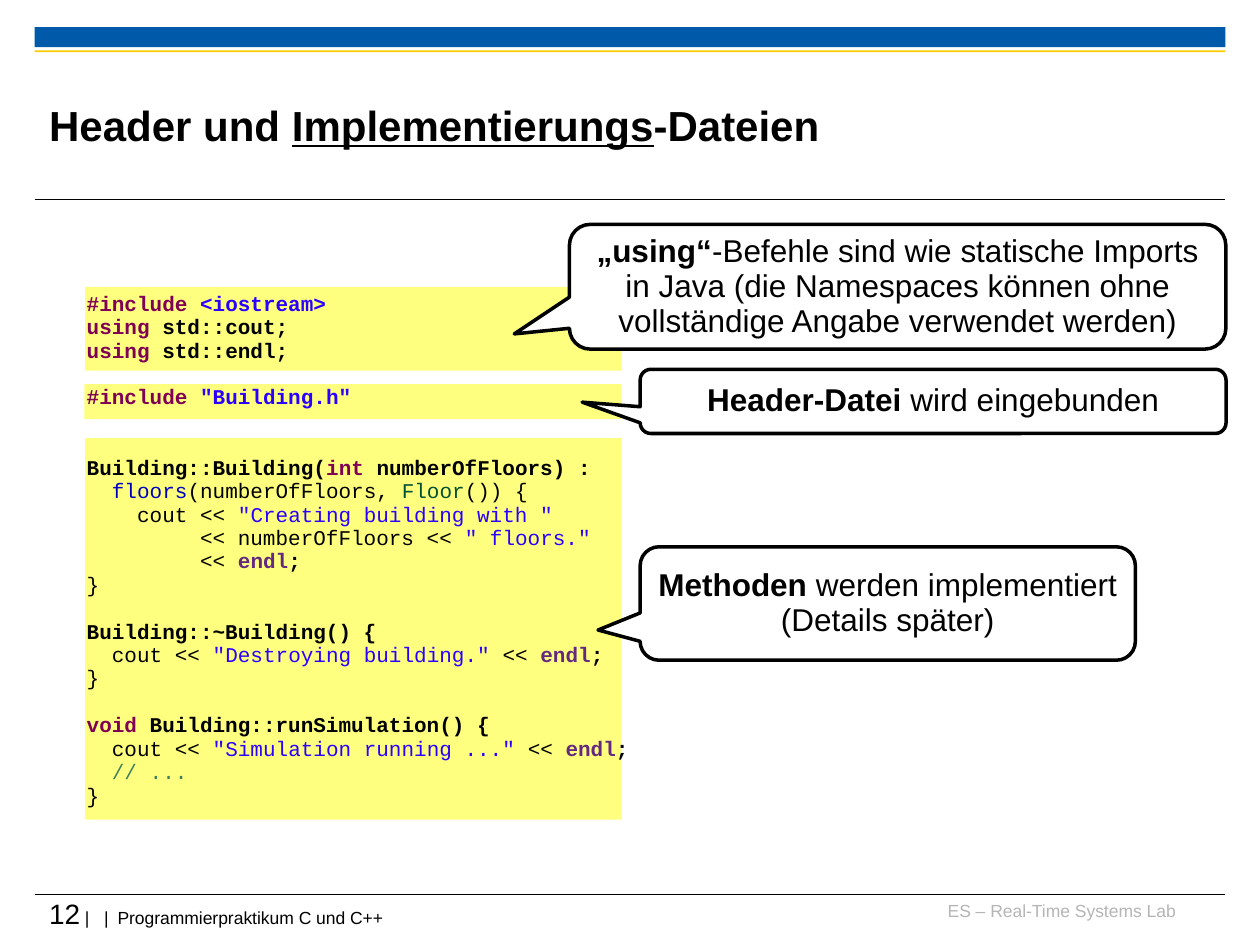
from pptx import Presentation
from pptx.util import Pt
from pptx.dml.color import RGBColor
from pptx.enum.shapes import MSO_SHAPE, MSO_CONNECTOR
from pptx.enum.text import PP_ALIGN, MSO_ANCHOR
from pptx.oxml.ns import qn
from lxml.etree import SubElement

BLACK = RGBColor(0x00, 0x00, 0x00)
WHITE = RGBColor(0xFF, 0xFF, 0xFF)
BLUE = RGBColor(0x00, 0x5A, 0xA9)
GOLD = RGBColor(0xFD, 0xCA, 0x00)
GREY = RGBColor(0xB5, 0xB5, 0xB5)
YELLOW = RGBColor(0xFF, 0xFF, 0x00)
PLUM = RGBColor(0x7F, 0x00, 0x55)
STRING = RGBColor(0x2A, 0x00, 0xFF)
FIELD = RGBColor(0x00, 0x00, 0xC0)
GREEN = RGBColor(0x00, 0x50, 0x32)
PURPLE = RGBColor(0x64, 0x28, 0x80)
TEAL = RGBColor(0x3F, 0x7F, 0x5F)

deck = Presentation()
deck.slide_width, deck.slide_height = Pt(720), Pt(540)
slide = deck.slides.add_slide(deck.slide_layouts[6])
shapes = slide.shapes


def add_box(x, y, w, h, fill, kind=MSO_SHAPE.RECTANGLE):
    box = shapes.add_shape(kind, Pt(x), Pt(y), Pt(w), Pt(h))
    box.shadow.inherit = False
    box.fill.solid()
    box.fill.fore_color.rgb = fill
    box.line.fill.background()
    return box


def add_text(x, y, w, h, pad=0):
    frame = shapes.add_textbox(Pt(x), Pt(y), Pt(w), Pt(h)).text_frame
    frame.word_wrap = True
    frame.margin_left = frame.margin_right = Pt(pad)
    frame.margin_top = frame.margin_bottom = Pt(pad / 2)
    return frame


# Bars and rules
add_box(19.8, 15.6, 680.4, 11.4, BLUE)
add_box(19.8, 28.8, 680.4, 1, GOLD)
for y in (114.2, 511.2):
    rule = shapes.add_connector(MSO_CONNECTOR.STRAIGHT, Pt(19.8), Pt(y), Pt(700.2), Pt(y))
    rule.line.color.rgb = BLACK
    rule.line.width = Pt(0.6)
    SubElement(rule._element.spPr, qn("a:effectLst"))

# Footer
para = add_text(530, 514.1, 141.8, 18).paragraphs[0]
para.alignment = PP_ALIGN.RIGHT
para.space_before = Pt(0)
para.font.name, para.font.size = "Arial", Pt(10)
para.font.color.rgb = GREY
para.add_run().text = "ES – Real-Time Systems Lab"

para = add_text(28.1, 512.6, 671.8, 23.8).paragraphs[0]
tabs = SubElement(para._p.get_or_add_pPr(), qn("a:tabLst"))
for stop in (31.5, 39.1):
    SubElement(tabs, qn("a:tab"), pos=str(int(Pt(stop))), algn="l")
para.font.name = "Arial"
para.font.color.rgb = BLACK
for text, size in (("12", 16), (" |\t|\tProgrammierpraktikum C und C++", 10)):
    run = para.add_run()
    run.text = text
    run.font.size = Pt(size)

# Title
frame = add_text(28.1, 38.2, 541.4, 66.2)
frame.vertical_anchor = MSO_ANCHOR.MIDDLE
para = frame.paragraphs[0]
para.font.name, para.font.size, para.font.bold = "Arial", Pt(24), True
para.font.color.rgb = BLACK
for text, under in (("Header und ", False), ("Implementierungs", True), ("-Dateien", False)):
    run = para.add_run()
    run.text = text
    run.font.underline = under

# Code panels, half transparent
for x, y, h in ((48.7, 164, 47.8), (48.2, 219.5, 20), (48.7, 250.4, 218)):
    panel = add_box(x, y, 306.6, h, YELLOW)
    tint = panel._element.spPr.find(qn("a:solidFill"))[0]
    SubElement(tint, qn("a:alpha"), val="50000")

# Code styles: colour, bold
STYLES = {
    "key": (PLUM, True), "head": (STRING, True), "bold": (BLACK, True),
    "text": (BLACK, False), "str": (STRING, False), "field": (FIELD, False),
    "type": (GREEN, False), "endl": (PURPLE, True), "note": (TEAL, False),
}
# Each line: empty lines above it, then its pieces
END = [("endl", "endl"), ("bold", ";")]
CODE = [
    (0, [("key", "#include "), ("head", "<iostream>")]),
    (0, [("key", "using"), ("bold", " std::cout;")]),
    (0, [("key", "using"), ("bold", " std::endl;")]),
    (1, [("key", "#include "), ("head", '"Building.h"')]),
    (2, [("bold", "Building::Building("), ("key", "int"), ("bold", " numberOfFloors) :")]),
    (0, [("field", "  floors"), ("text", "(numberOfFloors, "), ("type", "Floor"), ("text", "()) {")]),
    (0, [("text", "    cout << "), ("str", '"Creating building with "')]),
    (0, [("text", "         << numberOfFloors << "), ("str", '" floors."')]),
    (0, [("text", "         << ")] + END),
    (0, [("text", "}")]),
    (1, [("bold", "Building::~Building() {")]),
    (0, [("text", "  cout << "), ("str", '"Destroying building."'), ("text", " << ")] + END),
    (0, [("text", "}")]),
    (1, [("key", "void"), ("bold", " Building::runSimulation() {")]),
    (0, [("text", "  cout << "), ("str", '"Simulation running ..."'), ("text", " << ")] + END),
    (0, [("note", "  // ...")]),
    (0, [("text", "}")]),
]
PITCH = 13.4
frame = add_text(42.5, 163.6, 607, 316, 7.2)
for i, (gap, parts) in enumerate(CODE):
    para = frame.add_paragraph() if i else frame.paragraphs[0]
    para.line_spacing = 0.93
    para.space_before = Pt(gap * PITCH)
    para.font.name, para.font.size = "Courier New", Pt(12)
    for style, text in parts:
        run = para.add_run()
        run.text = text
        run.font.color.rgb, run.font.bold = STYLES[style]

# Callouts: place, tip, lines of (bold part, plain part)
NOTES = [
    ((325.4, 128.2, 375.1, 71.3), (-0.584, 0.378),
     [("„using“", "-Befehle sind wie statische Imports in Java "
       "(die Namespaces können ohne vollständige Angabe verwendet werden)")]),
    ((365.8, 211, 334.8, 36.7), (-0.599, 0.012), [("Header-Datei", " wird eingebunden")]),
    ((365.8, 312.5, 283, 64.8), (-0.585, 0.234),
     [("Methoden", " werden implementiert"), ("", "(Details später)")]),
]
for place, tip, lines in NOTES:
    note = add_box(*place, WHITE, MSO_SHAPE.ROUNDED_RECTANGULAR_CALLOUT)
    note.line.color.rgb = BLACK
    note.line.width = Pt(2)
    for i, value in enumerate((*tip, 0.167)):
        note.adjustments[i] = value
    frame = note.text_frame
    frame.word_wrap = True
    frame.vertical_anchor = MSO_ANCHOR.MIDDLE
    for i, (strong, plain) in enumerate(lines):
        para = frame.add_paragraph() if i else frame.paragraphs[0]
        para.alignment = PP_ALIGN.CENTER
        para.line_spacing = 0.93
        para.font.name, para.font.size = "Arial", Pt(18)
        para.font.color.rgb = BLACK
        for text, bold in ((strong, True), (plain, False)):
            if text:
                run = para.add_run()
                run.text = text
                run.font.bold = bold

deck.save("out.pptx")
